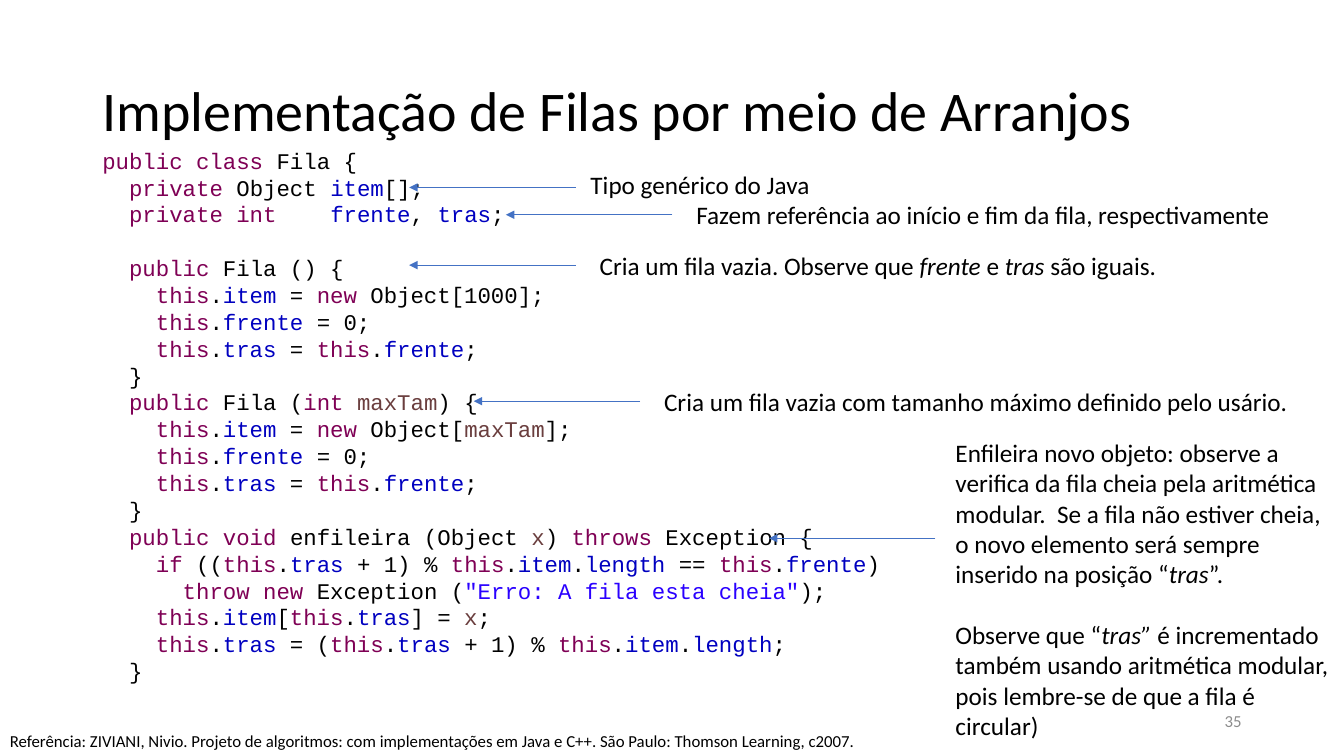
"""Builds the slide on an array-based queue in Java, with its annotated code."""
from itertools import groupby

from lxml import etree
from pptx import Presentation
from pptx.dml.color import RGBColor
from pptx.enum.shapes import MSO_CONNECTOR
from pptx.enum.text import MSO_ANCHOR, MSO_AUTO_SIZE, PP_ALIGN
from pptx.oxml.ns import qn
from pptx.util import Pt

BLACK = RGBColor(0x00, 0x00, 0x00)
GREY = RGBColor(0x8C, 0x8C, 0x8C)
ARROW_BLUE = RGBColor(0x44, 0x72, 0xC4)
KEYWORD = RGBColor(0x7F, 0x00, 0x55)
FIELD = RGBColor(0x00, 0x00, 0xC0)
PARAMETER = RGBColor(0x6A, 0x3E, 0x3E)
STRING = RGBColor(0x2A, 0x00, 0xFF)

STRAIGHT = MSO_CONNECTOR.STRAIGHT
TOP, MIDDLE = MSO_ANCHOR.TOP, MSO_ANCHOR.MIDDLE
LEFT, RIGHT = PP_ALIGN.LEFT, PP_ALIGN.RIGHT
GROW, FIXED = MSO_AUTO_SIZE.SHAPE_TO_FIT_TEXT, MSO_AUTO_SIZE.NONE

WORD_COLORS = {
    **dict.fromkeys("public class private int this new void throws throw if".split(), KEYWORD),
    **dict.fromkeys("item frente tras length".split(), FIELD),
    **dict.fromkeys("maxTam x".split(), PARAMETER),
}

QUEUE_CODE = """\
public class Fila {
  private Object item[];
  private int    frente, tras;

  public Fila () {
    this.item = new Object[1000];
    this.frente = 0;
    this.tras = this.frente;
  }
  public Fila (int maxTam) {
    this.item = new Object[maxTam];
    this.frente = 0;
    this.tras = this.frente;
  }
  public void enfileira (Object x) throws Exception {
    if ((this.tras + 1) % this.item.length == this.frente)
      throw new Exception ("Erro: A fila esta cheia");
    this.item[this.tras] = x;
    this.tras = (this.tras + 1) % this.item.length;
  }"""

ARROW_LENGTH = 118.8
LABEL_HEIGHT = 28.8
ARROW_STARTS = [(480.2, 153.4), (411.1, 189.4), (457.2, 286.6), (668.2, 384.5), (411.1, 133.9)]
LABELS = [
    (490.3, 139, 429, ["Fazem referência ao início e fim da fila, respectivamente"]),
    (421.2, 175, 416.9, ["Cria um fila vazia. Observe que ", "frente", " e ", "tras",
                         " são iguais."]),
    (467.3, 272.2, 465.1, ["Cria um fila vazia com tamanho máximo definido pelo usário."]),
    (414.7, 117.4, 172.8, ["Tipo genérico do Java"]),
]
ENQUEUE_NOTES = [
    ["Enfileira novo objeto: observe a verifica da fila cheia pela aritmética modular.  "
     "Se a fila não estiver cheia, o novo elemento será sempre inserido na posição “",
     "tras", "”."],
    ["Observe que “", "tras”", " é incrementado também usando aritmética modular, "
     "pois lembre-se de que a fila é circular)"],
]


def code_runs(line):
    """Splits a line of code into (text, colour) runs."""
    tokens = []
    for index, part in enumerate(line.split('"')):
        if index % 2:
            tokens.append((f'"{part}"', STRING))
            continue
        for _, letters in groupby(part, lambda c: "word" if c.isalnum() else c.isspace()):
            token = "".join(letters)
            color = WORD_COLORS.get(token, BLACK)
            if token.isspace() and tokens:
                color = tokens[-1][1]
            tokens.append((token, color))
    return [("".join(text for text, _ in group), color)
            for color, group in groupby(tokens, lambda token: token[1])]


class SlideWriter:
    """Holds the style and the slide being written."""

    font = "Calibri"
    code_font = "Courier New"
    label_size = 18
    code_size = 16
    code_pitch = 19.2

    def __init__(self, slide):
        self.slide = slide

    def run(self, paragraph, text, size, color=BLACK, font=None, italic=False):
        """Adds one formatted run."""
        run = paragraph.add_run()
        run.text = text
        run.font.name = font or self.font
        run.font.size = Pt(size)
        run.font.italic = italic
        run.font.color.rgb = color

    def title(self, text, left, top, width, height):
        """Fills and places the title placeholder."""
        title = self.slide.shapes.title
        title.left, title.top, title.width, title.height = map(Pt, (left, top, width, height))
        frame = title.text_frame
        frame.auto_size = FIXED
        frame.vertical_anchor = MIDDLE
        paragraph = frame.paragraphs[0]
        paragraph.alignment = LEFT
        paragraph.line_spacing = 0.9
        self.run(paragraph, text, 40)

    def frame(self, left, top, width, height, wrap=True, fit=GROW, anchor=TOP):
        """Adds a text box and returns its frame."""
        frame = self.slide.shapes.add_textbox(*map(Pt, (left, top, width, height))).text_frame
        frame.word_wrap = wrap
        frame.auto_size = fit
        frame.vertical_anchor = anchor
        return frame

    def paragraph(self, frame, index):
        """Returns the first paragraph, or a new one after it."""
        return frame.add_paragraph() if index else frame.paragraphs[0]

    def line(self, text, left, top, width, height, size, color=BLACK, align=LEFT, **options):
        """Adds a single line of text."""
        paragraph = self.frame(left, top, width, height, **options).paragraphs[0]
        paragraph.alignment = align
        self.run(paragraph, text, size, color)

    def notes(self, paragraphs, left, top, width, height, wrap=True):
        """Adds explanatory text in which every second run is italic."""
        frame = self.frame(left, top, width, height, wrap)
        for index, pieces in enumerate(paragraphs):
            paragraph = self.paragraph(frame, index)
            if index:
                paragraph.space_before = Pt(22)
            for position, piece in enumerate(pieces):
                self.run(paragraph, piece, self.label_size, italic=position % 2 == 1)

    def code(self, source, left, top, width, height):
        """Adds coloured code, turning empty lines into paragraph spacing."""
        frame = self.frame(left, top, width, height)
        gap = 0
        for index, line in enumerate(source.split("\n")):
            if not line:
                gap = self.code_pitch
                continue
            paragraph = self.paragraph(frame, index)
            paragraph.line_spacing = Pt(self.code_pitch)
            if gap:
                paragraph.space_before = Pt(gap)
                gap = 0
            for text, color in code_runs(line):
                self.run(paragraph, text, self.code_size, color, self.code_font)

    def arrow(self, start, y):
        """Adds an arrow pointing left, towards the code."""
        arrow = self.slide.shapes.add_connector(
            STRAIGHT, Pt(start), Pt(y), Pt(start - ARROW_LENGTH), Pt(y))
        arrow.line.color.rgb = ARROW_BLUE
        arrow.line.width = Pt(0.5)
        etree.SubElement(arrow.line._get_or_add_ln(), qn("a:tailEnd"), type="triangle")
        etree.SubElement(arrow._element.spPr, qn("a:effectLst"))


def main():
    """Builds and saves the slide."""
    presentation = Presentation()
    presentation.slide_width, presentation.slide_height = Pt(960), Pt(540)
    writer = SlideWriter(presentation.slides.add_slide(presentation.slide_layouts[5]))

    writer.title("Implementação de Filas por meio de Arranjos", 66, 28.8, 828, 104.4)
    writer.code(QUEUE_CODE, 66, 101.3, 591, 391.2)
    for start, y in ARROW_STARTS:
        writer.arrow(start, y)
    for left, top, width, pieces in LABELS:
        writer.notes([pieces], left, top, width, LABEL_HEIGHT, wrap=False)
    writer.notes(ENQUEUE_NOTES, 675.4, 308.9, 284.4, 225.4)
    writer.line("35", 678, 500.5, 216, 28.8, 12, GREY, RIGHT, fit=FIXED, anchor=MIDDLE)
    writer.line("Referência: ZIVIANI, Nivio. Projeto de algoritmos: com implementações em Java "
                "e C++. São Paulo: Thomson Learning, c2007.", 0, 518.4, 659.5, 21.6, 12)
    presentation.save("out.pptx")


if __name__ == "__main__":
    main()
